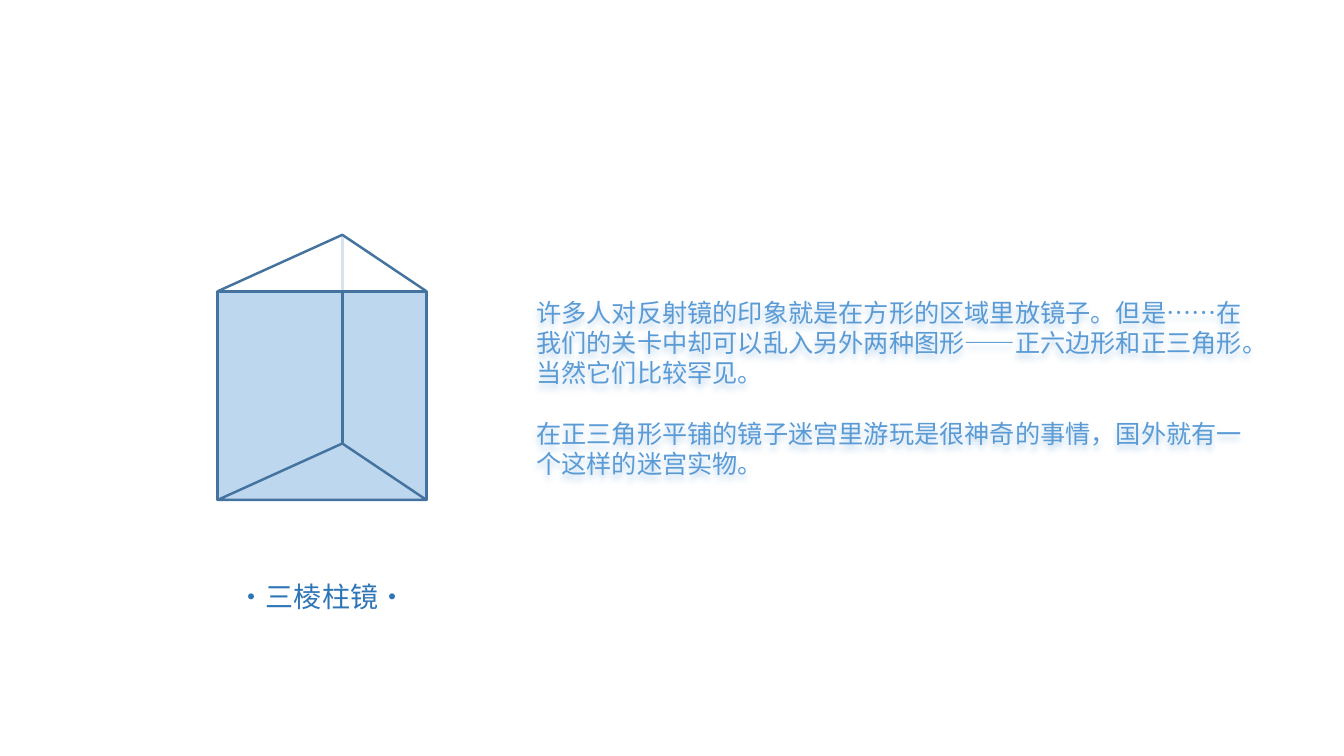
from lxml.etree import SubElement
from pptx import Presentation
from pptx.dml.color import RGBColor
from pptx.enum.lang import MSO_LANGUAGE_ID as Lang
from pptx.enum.shapes import MSO_CONNECTOR as Connector, MSO_SHAPE as Shape
from pptx.enum.text import MSO_ANCHOR as Anchor, PP_ALIGN as Align
from pptx.oxml.ns import qn
from pptx.util import Inches, Pt

# Content
STORY = [
    "许多人对反射镜的印象就是在方形的区域里放镜子。但是……在我们的关卡中却可以乱入另外两种图形——正六边形和正三角形。当然它们比较罕见。",
    "在正三角形平铺的镜子迷宫里游玩是很神奇的事情，国外就有一个这样的迷宫实物。",
]
CAPTION = "·三棱柱镜·"
EDGE, GLASS, STORY_BLUE, CAPTION_BLUE = "43739E", "BDD7EE", "5B9BD5", "2E75B6"

# Prism geometry, in inches
LEFT, FRONT_TOP, SIDE = 2.16, 2.89, 2.07
DEPTH = 0.56
APEX = 0.597
FRONT_BOTTOM = FRONT_TOP + SIDE
BACK_X = LEFT + APEX * SIDE
BACK_TOP, BACK_BOTTOM = FRONT_TOP - DEPTH, FRONT_BOTTOM - DEPTH


def color(hex_string):
    return RGBColor.from_string(hex_string)


def draw_edge(line):
    line.color.rgb = color(EDGE)
    line.width = Pt(1.75)


def add_face(page, kind, top, height, fill=None, opacity=100):
    face = page.shapes.add_shape(
        kind, Inches(LEFT), Inches(top), Inches(SIDE), Inches(height))
    face.shadow.inherit = False
    draw_edge(face.line)
    if kind == Shape.ISOSCELES_TRIANGLE:
        face.adjustments[0] = APEX
    if fill is None:
        face.fill.background()
        return
    face.fill.solid()
    face.fill.fore_color.rgb = color(fill)
    if opacity < 100:
        tint = face._element.spPr.find(f".//{qn('a:srgbClr')}")
        SubElement(tint, qn("a:alpha"), val=str(opacity * 1000))


def add_text(page, box_area, lines, font_name, size, hex_string):
    box = page.shapes.add_textbox(*map(Inches, box_area))
    frame = box.text_frame
    frame.word_wrap = True
    frame.text = "\n".join(lines)
    for para in frame.paragraphs:
        para.font.name = font_name
        para.font.size = Pt(size)
        para.font.color.rgb = color(hex_string)
        para.font.language_id = Lang.SIMPLIFIED_CHINESE
    return box


def add_soft_shadow(box, hex_string):
    effects = SubElement(box._element.spPr, qn("a:effectLst"))
    shadow = SubElement(effects, qn("a:outerShdw"), blurRad=str(Pt(4)),
                        dist=str(Pt(4)), dir=str(90 * 60000), algn="t", rotWithShape="0")
    SubElement(shadow, qn("a:srgbClr"), val=hex_string)


def main():
    deck = Presentation()
    deck.slide_width, deck.slide_height = Inches(13.33), Inches(7.5)
    page = deck.slides.add_slide(deck.slide_layouts[6])

    # Story beside the prism
    story = add_text(page, (5.22, 0.94, 7.41, 5.81), STORY, "Calibri", 18, STORY_BLUE)
    story.text_frame.vertical_anchor = Anchor.MIDDLE
    story.text_frame.paragraphs[1].space_before = Pt(21.6)
    add_soft_shadow(story, GLASS)

    # Prism: front, base, back edge, then the translucent lid
    add_face(page, Shape.RECTANGLE, FRONT_TOP, SIDE, GLASS)
    add_face(page, Shape.ISOSCELES_TRIANGLE, BACK_BOTTOM, DEPTH)
    back_edge = page.shapes.add_connector(
        Connector.STRAIGHT, Inches(BACK_X), Inches(BACK_TOP),
        Inches(BACK_X), Inches(BACK_BOTTOM))
    draw_edge(back_edge.line)
    SubElement(back_edge._element.spPr, qn("a:effectLst"))
    add_face(page, Shape.ISOSCELES_TRIANGLE, BACK_TOP, DEPTH, "FFFFFF", 80)

    # Caption under the prism
    caption = add_text(page, (LEFT, 5.7, SIDE, 0.44), [CAPTION],
                       "Noto Sans CJK SC", 20, CAPTION_BLUE)
    caption.text_frame.paragraphs[0].alignment = Align.CENTER

    deck.save("out.pptx")


if __name__ == "__main__":
    main()
